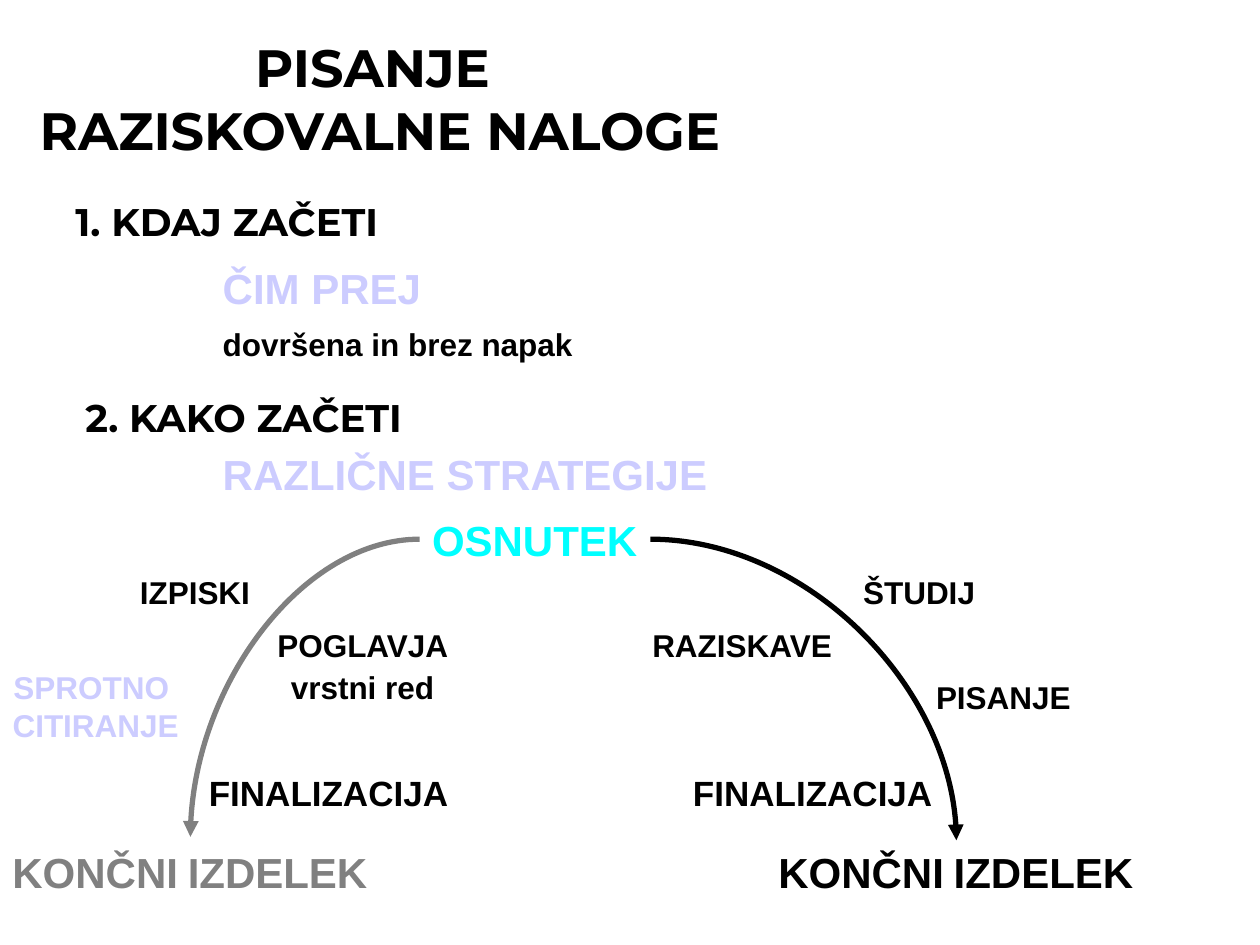
from lxml import etree
from pptx import Presentation
from pptx.dml.color import RGBColor
from pptx.enum import shapes, text
from pptx.oxml import ns
from pptx.util import Cm, Pt

BLACK = RGBColor(0x00, 0x00, 0x00)
GRAY = RGBColor(0x80, 0x80, 0x80)
LAVENDER = RGBColor(0xCC, 0xCC, 0xFF)
CYAN = RGBColor(0x00, 0xFF, 0xFF)
CENTER = text.PP_ALIGN.CENTER


def add_shadow(r):
    """Give a run a gray drop shadow."""
    effects = etree.SubElement(r.font._element, ns.qn("a:effectLst"))
    shadow = etree.SubElement(effects, ns.qn("a:outerShdw"), dist="35921", dir="2700000")
    etree.SubElement(shadow, ns.qn("a:srgbClr"), val=str(GRAY))


def add_label(s, box, lines, size=18, color=BLACK, font="Arial", align=None,
              wrap=False, spacing=None, shadow=False):
    """Add bold text in a box; each line is a string or a list of (text, size) runs."""
    tf = s.shapes.add_textbox(*(Cm(v) for v in box)).text_frame
    tf.word_wrap = wrap
    tf.auto_size = text.MSO_AUTO_SIZE.SHAPE_TO_FIT_TEXT
    for i, line in enumerate(lines):
        p = tf.add_paragraph() if i else tf.paragraphs[0]
        p.alignment = align
        p.line_spacing = spacing
        p.font.name = font
        p.font.size = Pt(size)
        p.font.bold = True
        p.font.color.rgb = color
        for words, run_size in [(line, None)] if isinstance(line, str) else line:
            r = p.add_run()
            r.text = words
            if run_size:
                r.font.size = Pt(run_size)
            if shadow:
                add_shadow(r)


def add_arc(s, start, end, color):
    """Add a quarter-curve arrow that leaves sideways and ends downwards."""
    c = s.shapes.add_connector(shapes.MSO_CONNECTOR.CURVE, *(Cm(v) for v in start + end))
    c.line.color.rgb = color
    c.line.width = Pt(3)
    sp_pr = c._element.spPr
    sp_pr.find(ns.qn("a:prstGeom")).set("prst", "curvedConnector2")
    etree.SubElement(sp_pr.find(ns.qn("a:ln")), ns.qn("a:tailEnd"), type="triangle")
    etree.SubElement(sp_pr, ns.qn("a:effectLst"))


def add_product(s, x, y, color, shadow=False):
    """Add the final product label that closes a branch."""
    runs = [("KONČNI", None), (" ", 20), ("IZDELEK", None)]
    add_label(s, (x, y, 7.67, 1.27), [runs], 24, color, shadow=shadow)


def title(s, x, y, w, h):
    """Place the two-line slide title."""
    add_label(s, (x, y, w, h), ["PISANJE ", "RAZISKOVALNE NALOGE"], 30,
              font="Montserrat", align=CENTER, shadow=True)


def when_section(s, x, y):
    """Place the section on when to start."""
    add_label(s, (x, y, 7.39, 1.19), ["1. KDAJ ZAČETI"], 22, font="Montserrat")
    add_label(s, (x + 2.97, y + 1.5, 4.65, 1.07), ["ČIM PREJ"], 24, LAVENDER,
              wrap=True, spacing=0.8)
    add_label(s, (x + 2.97, y + 2.57, 7.57, 1.02), ["dovršena in brez napak"])


def how_section(s, x, y):
    """Place the section on how to start, down to the outline label."""
    add_label(s, (x, y, 7.54, 1.19), ["2. KAKO ZAČETI"], 22, font="Montserrat")
    add_label(s, (x + 2.77, y + 1.1, 10.34, 1.27), ["RAZLIČNE STRATEGIJE"], 24, LAVENDER)
    add_label(s, (x + 6.99, y + 2.42, 4.65, 1.27), ["OSNUTEK"], 24, CYAN)


def notes_branch(s, x, y):
    """Place the left branch, from excerpts to the final product."""
    add_arc(s, (x + 8.46, y + 0.63), (x + 3.84, y + 6.63), GRAY)
    add_label(s, (x + 2.57, y + 1.19, 2.74, 1.02), ["IZPISKI"])
    add_label(s, (x + 5.31, y + 2.26, 4.01, 1.02), ["POGLAVJA"], align=CENTER)
    add_label(s, (x + 5.61, y + 3.1, 3.4, 1.02), ["vrstni red"], align=CENTER)
    add_label(s, (x, y + 3.1, 3.86, 1.78), ["SPROTNO ", "CITIRANJE"], 18, LAVENDER,
              align=CENTER)
    add_label(s, (x + 3.96, y + 5.18, 5.33, 1.09), ["FINALIZACIJA"], 20)
    add_product(s, x, y + 6.7, GRAY)


def study_branch(s, x, y):
    """Place the right branch, from study to the final product."""
    add_arc(s, (x + 0.21, y + 0.63), (x + 6.38, y + 6.7), BLACK)
    add_label(s, (x + 4.25, y + 1.19, 2.77, 1.02), ["ŠTUDIJ"])
    add_label(s, (x, y + 2.26, 4.19, 1.02), ["RAZISKAVE"])
    add_label(s, (x + 5.72, y + 3.3, 3.23, 1.02), ["PISANJE"])
    add_label(s, (x + 0.82, y + 5.18, 5.33, 1.09), ["FINALIZACIJA"], 20)
    add_product(s, x + 2.54, y + 6.7, BLACK, shadow=True)


def main():
    """Build and save the slide."""
    prs = Presentation()
    prs.slide_width, prs.slide_height = Cm(25.4), Cm(19.05)
    s = prs.slides.add_slide(prs.slide_layouts[6])
    title(s, 0.08, 0.58, 15.16, 2.79)
    when_section(s, 1.27, 3.86)
    how_section(s, 1.47, 7.82)
    notes_branch(s, 0, 10.24)
    study_branch(s, 12.9, 10.24)
    prs.save("out.pptx")


if __name__ == "__main__":
    main()
